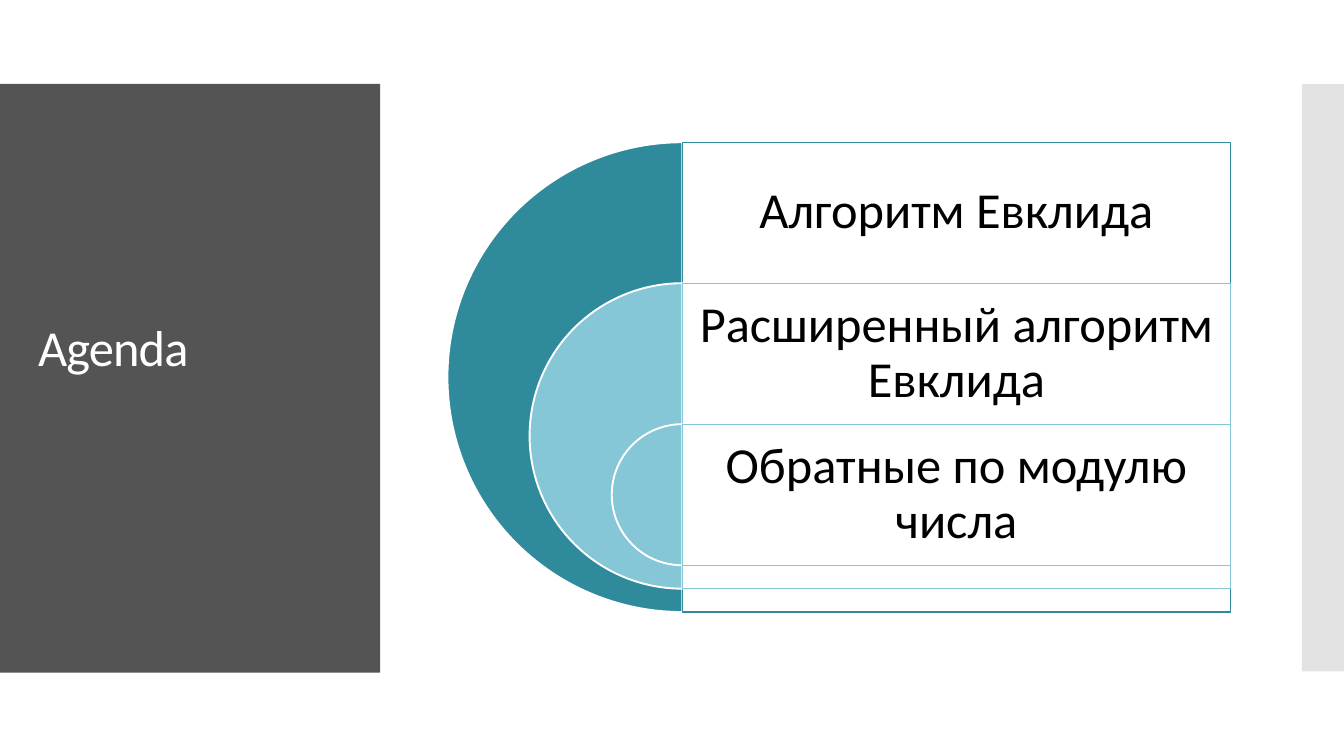
"""Build the agenda slide: a dark title panel and three nested half circles with labels."""
from lxml.etree import SubElement
from pptx import Presentation
from pptx.dml.color import RGBColor
from pptx.enum.shapes import MSO_SHAPE
from pptx.enum.text import MSO_ANCHOR, MSO_AUTO_SIZE, PP_ALIGN
from pptx.oxml.ns import qn
from pptx.util import Pt

WHITE = RGBColor(0xFF, 0xFF, 0xFF)
BLACK = RGBColor(0x00, 0x00, 0x00)
CHARCOAL = RGBColor(0x54, 0x54, 0x54)
GREY = RGBColor(0xC8, 0xC8, 0xC8)
TEAL = RGBColor(0x2F, 0x8A, 0x9B)
SKY = RGBColor(0x85, 0xC6, 0xD7)


class SlideBuilder:
    font = "Calibri"
    size = 36
    line_spacing = 0.9

    def __init__(self, prs):
        self.s = prs.slides.add_slide(prs.slide_layouts[5])

    def shape(self, kind, box, fill, line=None, width=0, opacity=100):
        sp = self.s.shapes.add_shape(kind, *map(Pt, box))
        sp.shadow.inherit = False
        sp.fill.solid()
        sp.fill.fore_color.rgb = fill
        if opacity < 100:
            color = sp._element.spPr.find(qn("a:solidFill"))[0]
            SubElement(color, qn("a:alpha"), val=str(opacity * 1000))
        if line is None:
            sp.line.fill.background()
        else:
            sp.line.color.rgb = line
            sp.line.width = Pt(width)
        return sp

    def rect(self, *args, **kwargs):
        return self.shape(MSO_SHAPE.RECTANGLE, *args, **kwargs)

    def half_circle(self, box, fill):
        sp = self.shape(MSO_SHAPE.PIE, box, fill, WHITE, 1.35)
        sp.adjustments[0], sp.adjustments[1] = 54, 162

    def add_text(self, sp, text, color, align, margins):
        tf = sp.text_frame
        tf.word_wrap = True
        tf.auto_size = MSO_AUTO_SIZE.NONE
        tf.vertical_anchor = MSO_ANCHOR.MIDDLE
        (tf.margin_left, tf.margin_top,
         tf.margin_right, tf.margin_bottom) = map(Pt, margins)
        p = tf.paragraphs[0]
        p.alignment = align
        p.line_spacing = self.line_spacing
        r = p.add_run()
        r.text = text
        r.font.name = self.font
        r.font.size = Pt(self.size)
        r.font.color.rgb = color
        return r

    def label(self, box, text):
        sp = self.s.shapes.add_textbox(*map(Pt, box))
        self.add_text(sp, text, BLACK, PP_ALIGN.CENTER, (10.8,) * 4)

    def title(self, box, text):
        sp = self.s.shapes.title
        sp.left, sp.top, sp.width, sp.height = map(Pt, box)
        r = self.add_text(sp, text, WHITE, PP_ALIGN.LEFT, (7.2, 3.6, 7.2, 43))
        r._r.get_or_add_rPr().set("spc", "-60")
        self.s.shapes._spTree.append(sp._element)


prs = Presentation()
prs.slide_width, prs.slide_height = Pt(960), Pt(540)
slide = SlideBuilder(prs)

slide.rect((930, 60, 30, 419.5), GREY, opacity=50)
slide.rect((0, 60, 271.5, 420.5), CHARCOAL)
slide.title((20, 88.5, 232, 362), "Agenda")

CENTER_X, TOP, LABEL_W, ROW_H = 487.4, 101.6, 391.6, 100.7
OUTER_D, SHRINK = 335.6, 117.4
TOPICS = [
    ("Алгоритм Евклида", TEAL),
    ("Расширенный алгоритм Евклида", SKY),
    ("Обратные по модулю числа", SKY),
]
for i, (topic, color) in enumerate(TOPICS):
    y = TOP + i * ROW_H
    d = OUTER_D - i * SHRINK
    slide.half_circle((CENTER_X - d / 2, y, d, d), color)
    slide.rect((CENTER_X, y, LABEL_W, d), WHITE, color, 0.85, opacity=90)
    slide.label((CENTER_X, y, LABEL_W, ROW_H), topic)

prs.save("out.pptx")
